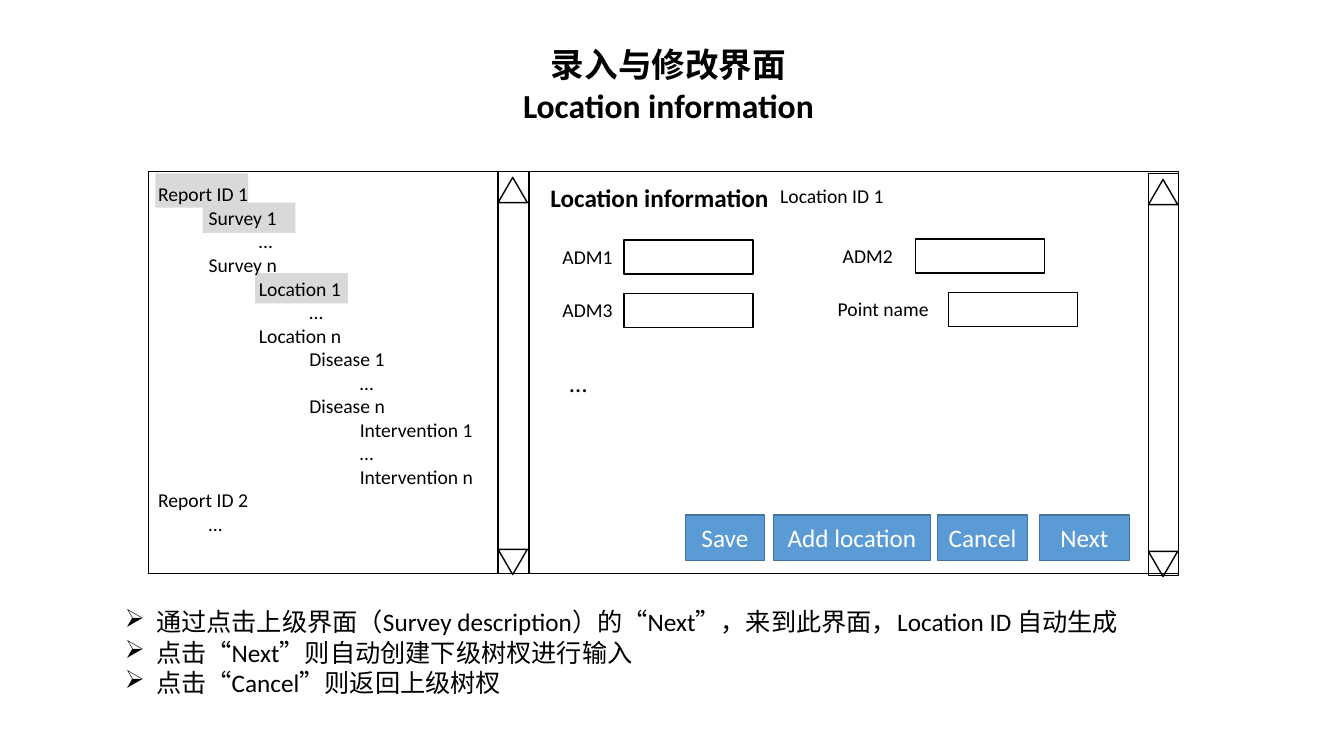
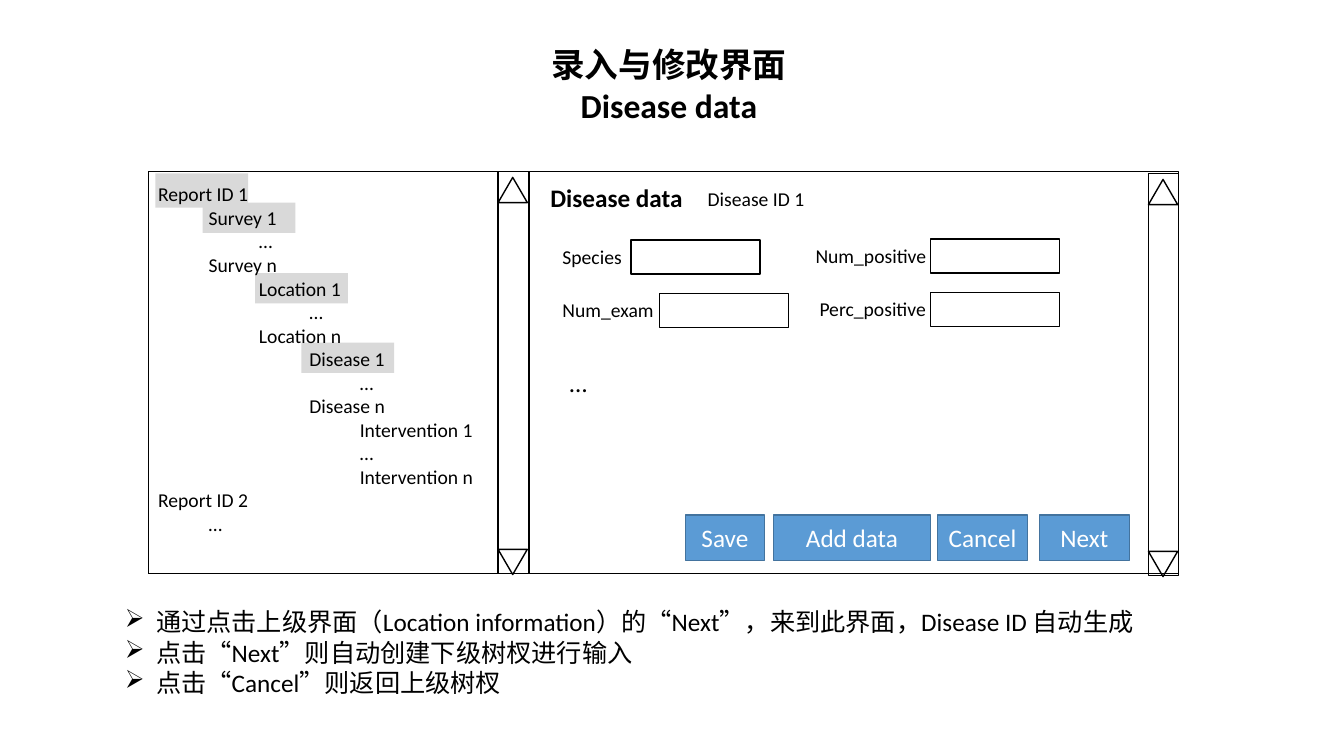
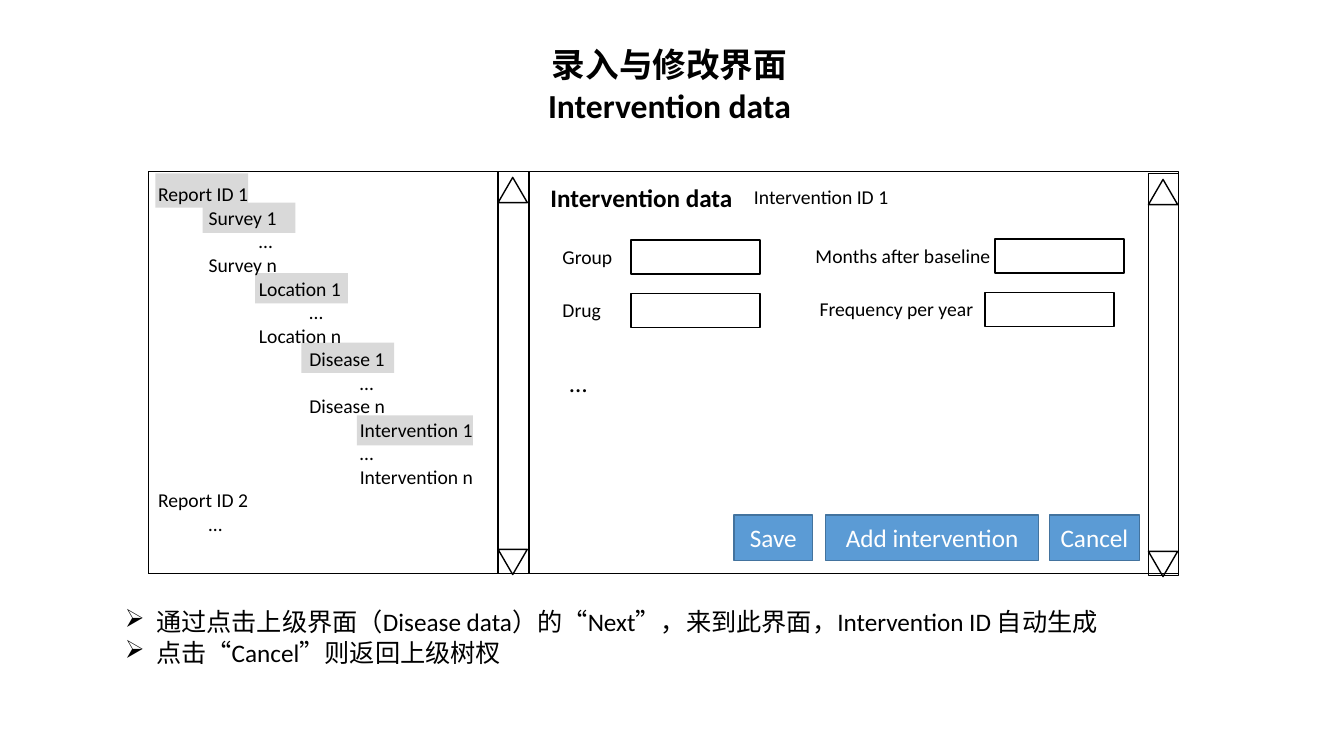
import pptx
import pptx.util
import pptx.dml.color
import pptx.enum.lang
import pptx.enum.shapes
import pptx.enum.text
import lxml.etree

Inches = pptx.util.Inches
SHAPE = pptx.enum.shapes.MSO_SHAPE
ALIGN = pptx.enum.text.PP_ALIGN
ANCHOR = pptx.enum.text.MSO_ANCHOR
FIT = pptx.enum.text.MSO_AUTO_SIZE.SHAPE_TO_FIT_TEXT
CHINESE = pptx.enum.lang.MSO_LANGUAGE_ID.SIMPLIFIED_CHINESE

# Shared style
FONT = "Calibri"
BLACK, WHITE, GREY = "000000", "FFFFFF", "D9D9D9"
BLUE, EDGE = "5B9BD5", "43739E"
HEAD = "录入与修改界面"

# Shared content: tree rows as (level, text), marks as (left, top, width, height)
TREE = [
    (0, "Report ID 1"), (1, "Survey 1"), (2, "…"), (1, "Survey n"),
    (2, "Location 1"), (3, "…"), (2, "Location n"),
    (3, "Disease 1"), (4, "…"), (3, "Disease n"),
    (4, "Intervention 1"), (4, "…"), (4, "Intervention n"),
    (0, "Report ID 2"), (1, "…"),
]
MARKS = [
    (1.54, 1.72, 0.92, 0.34), (2.01, 2.01, 0.92, 0.3), (2.53, 2.71, 0.92, 0.3),
    (2.99, 3.4, 0.92, 0.3), (3.54, 4.12, 1.15, 0.3),
]
FRAMES = [(1.47, 1.7, 10.22, 3.99), (1.47, 1.7, 3.78, 3.99)]
BARS = [(4.94, 1.7), (11.39, 1.72)]
NEXT = "点击“Next”则自动创建下级树杈进行输入"
BACK = "点击“Cancel”则返回上级树杈"

# Fields run row by row as (label, label left, label width, box left);
# buttons are (text, left, width)
SLIDES = [
    {"name": "Location information", "title": (5.07, 3.12), "width": 2.39,
     "id": ("Location ID 1", 7.64, 1.78, 1.32), "marks": 3,
     "fields": [("ADM1", 5.48, 0.71, 6.19), ("ADM2", 8.26, 0.71, 9.08),
                ("ADM3", 5.48, 0.71, 6.19), ("Point name", 8.21, 1.11, 9.41)],
     "buttons": [("Save", 6.8, 0.78), ("Add location", 7.67, 1.56),
                 ("Cancel", 9.3, 0.89), ("Next", 10.31, 0.89)],
     "notes": ["通过点击上级界面（Survey description）的“Next”，来到此界面，Location ID 自动生成",
               NEXT, BACK]},
    {"name": "Disease data", "title": (5.35, 2.57), "width": 1.52,
     "id": ("Disease ID 1", 6.92, 1.81, 1.32), "marks": 4,
     "fields": [("Species", 5.48, 0.8, 6.26), ("Num_positive", 7.99, 1.31, 9.23),
                ("Num_exam", 5.48, 1.11, 6.54), ("Perc_positive", 8.03, 1.27, 9.23)],
     "buttons": [("Save", 6.8, 0.78), ("Add data", 7.67, 1.56),
                 ("Cancel", 9.3, 0.89), ("Next", 10.31, 0.89)],
     "notes": ["通过点击上级界面（Location information）的“Next”，来到此界面，Disease ID 自动生成",
               NEXT, BACK]},
    {"name": "Intervention data", "title": (5.32, 2.64), "width": 2.02,
     "id": ("Intervention ID 1", 7.38, 1.79, 1.6), "marks": 5,
     "fields": [("Group", 5.48, 0.7, 6.26), ("Months after baseline", 7.99, 1.96, 9.87),
                ("Drug", 5.48, 0.59, 6.26), ("Frequency per year", 8.03, 1.74, 9.77)],
     "buttons": [("Save", 7.28, 0.78), ("Add intervention", 8.19, 2.11),
                 ("Cancel", 10.41, 0.89)],
     "notes": ["通过点击上级界面（Disease data）的“Next”，来到此界面，Intervention ID 自动生成",
               BACK]},
]


def color(code):
    return pptx.dml.color.RGBColor.from_string(code)


def style(item, **values):
    for key, value in values.items():
        setattr(item, key, value)


def place(box):
    return [Inches(part) for part in box]


def write(frame, lines, size, ink=BLACK, bold=False, align=ALIGN.LEFT):
    """Fill a text frame with one paragraph per line."""
    for num, line in enumerate(lines):
        para = frame.add_paragraph() if num else frame.paragraphs[0]
        para.alignment = align
        run = para.add_run()
        run.text = line
        style(run.font, name=FONT, size=pptx.util.Pt(size), bold=bold,
              language_id=CHINESE)
        run.font.color.rgb = color(ink)


def label(slide, box, lines, size, bold=False, wrap=False):
    frame = slide.shapes.add_textbox(*place(box)).text_frame
    style(frame, word_wrap=wrap, auto_size=FIT)
    write(frame, lines, size, bold=bold)
    return frame


def draw(slide, box, fill=None, line=BLACK, kind=SHAPE.RECTANGLE, turn=0):
    shape = slide.shapes.add_shape(kind, *place(box))
    shape.shadow.inherit = False
    shape.rotation = turn
    if fill:
        shape.fill.solid()
        shape.fill.fore_color.rgb = color(fill)
    else:
        shape.fill.background()
    if line:
        shape.line.color.rgb = color(line)
        shape.line.width = pptx.util.Pt(1)
    else:
        shape.line.fill.background()
    return shape


def indent(para, left, first=0, bullet=None):
    props = para._p.get_or_add_pPr()
    props.set("marL", str(Inches(left)))
    props.set("indent", str(Inches(first)))
    if bullet:
        tag = pptx.oxml.ns.qn("a:buChar")
        lxml.etree.SubElement(props, tag).set("char", bullet)


def heading(slide, data):
    left, width = data["title"]
    title = slide.shapes.title
    spot = place((left, 0.39, width, 0.91))
    style(title, **dict(zip(("left", "top", "width", "height"), spot)))
    style(title.text_frame, word_wrap=False, auto_size=FIT,
          vertical_anchor=ANCHOR.TOP)
    write(title.text_frame, [HEAD, data["name"]], 24, bold=True, align=ALIGN.CENTER)


def window(slide, count):
    """Marked tree rows, frames and the two scroll bars."""
    for box in MARKS[:count]:
        draw(slide, box, GREY, None)
    for box in FRAMES:
        draw(slide, box)
    for left, top in BARS:
        draw(slide, (left, top, 0.3, 3.99))
        for drop, turn in ((0.06, 0), (3.75, 180)):
            draw(slide, (left, top + drop, 0.29, 0.25),
                 kind=SHAPE.ISOSCELES_TRIANGLE, turn=turn)
    rows = label(slide, (1.47, 1.76, 3.36, 3.87), [text for _, text in TREE], 14)
    for para, (level, _) in zip(rows.paragraphs, TREE):
        para.level = level
        indent(para, level * 0.5)


def form(slide, data):
    """Heading, input fields and buttons of the right pane."""
    label(slide, (5.36, 1.76, data["width"], 0.4), [data["name"]], 18, bold=True)
    text, left, top, width = data["id"]
    label(slide, (left, top, width, 0.34), [text], 14, wrap=True)
    for num, (text, left, width, edge) in enumerate(data["fields"]):
        row, col = divmod(num, 2)
        top = 2.38 + row * 0.53 - col * 0.01
        label(slide, (left, top, width, 0.34), [text], 14)
        draw(slide, (edge, top, 1.28, 0.34))
    label(slide, (5.55, 3.59, 0.38, 0.4), ["…"], 18)
    for text, left, width in data["buttons"]:
        button = draw(slide, (left, 5.11, width, 0.45), BLUE, EDGE)
        button.text_frame.vertical_anchor = ANCHOR.MIDDLE
        write(button.text_frame, [text], 18, WHITE, align=ALIGN.CENTER)


def remarks(slide, lines):
    box = (1.14, 5.97, 10.89, 0.11 + 0.3 * len(lines))
    for para in label(slide, box, lines, 18, wrap=True).paragraphs:
        indent(para, 0.31, -0.31, "➢")


def main():
    deck = pptx.Presentation()
    style(deck, slide_width=Inches(13.33), slide_height=Inches(7.5))
    for data in SLIDES:
        slide = deck.slides.add_slide(deck.slide_layouts[5])
        heading(slide, data)
        window(slide, data["marks"])
        form(slide, data)
        remarks(slide, data["notes"])
    deck.save("out.pptx")


if __name__ == "__main__":
    main()
